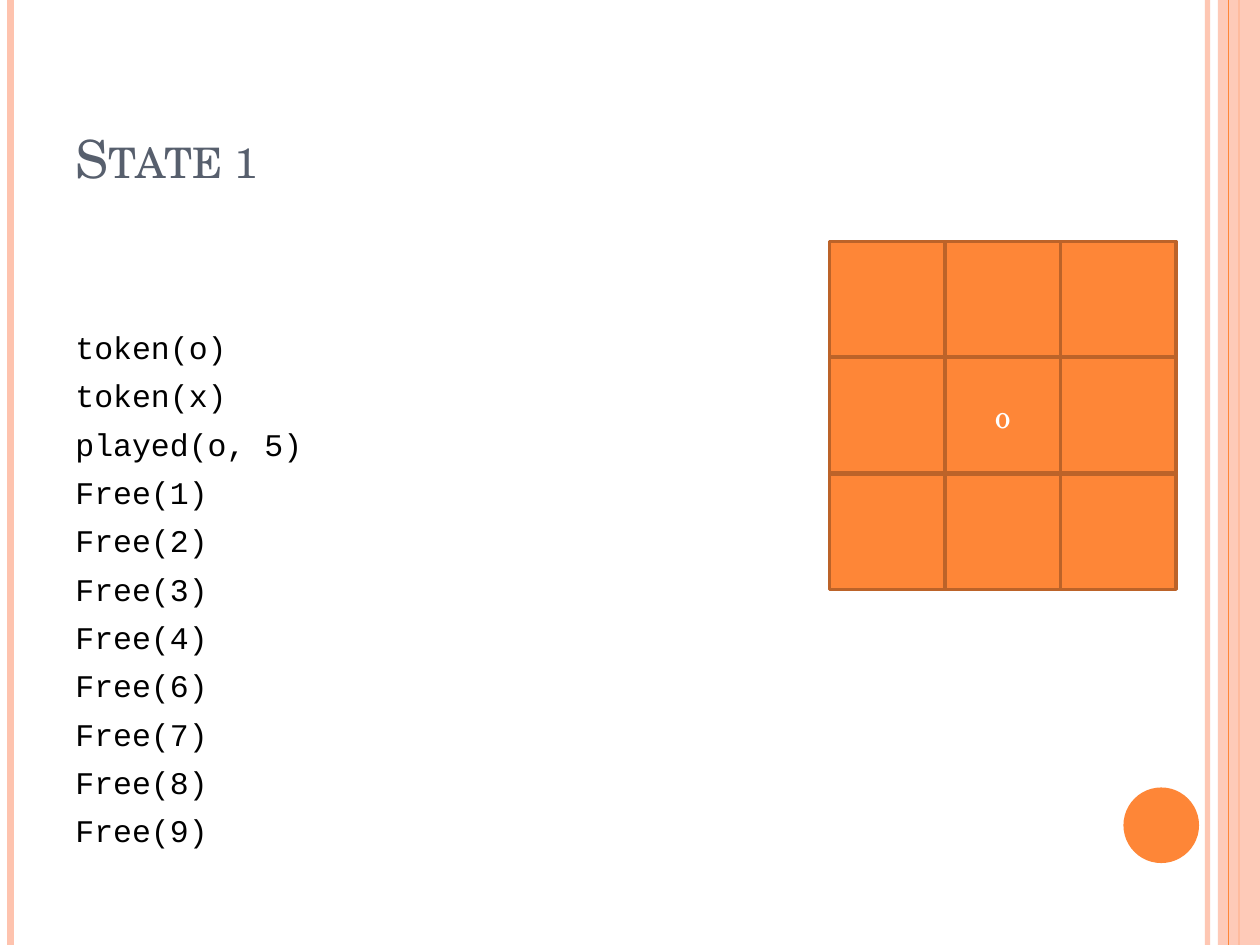
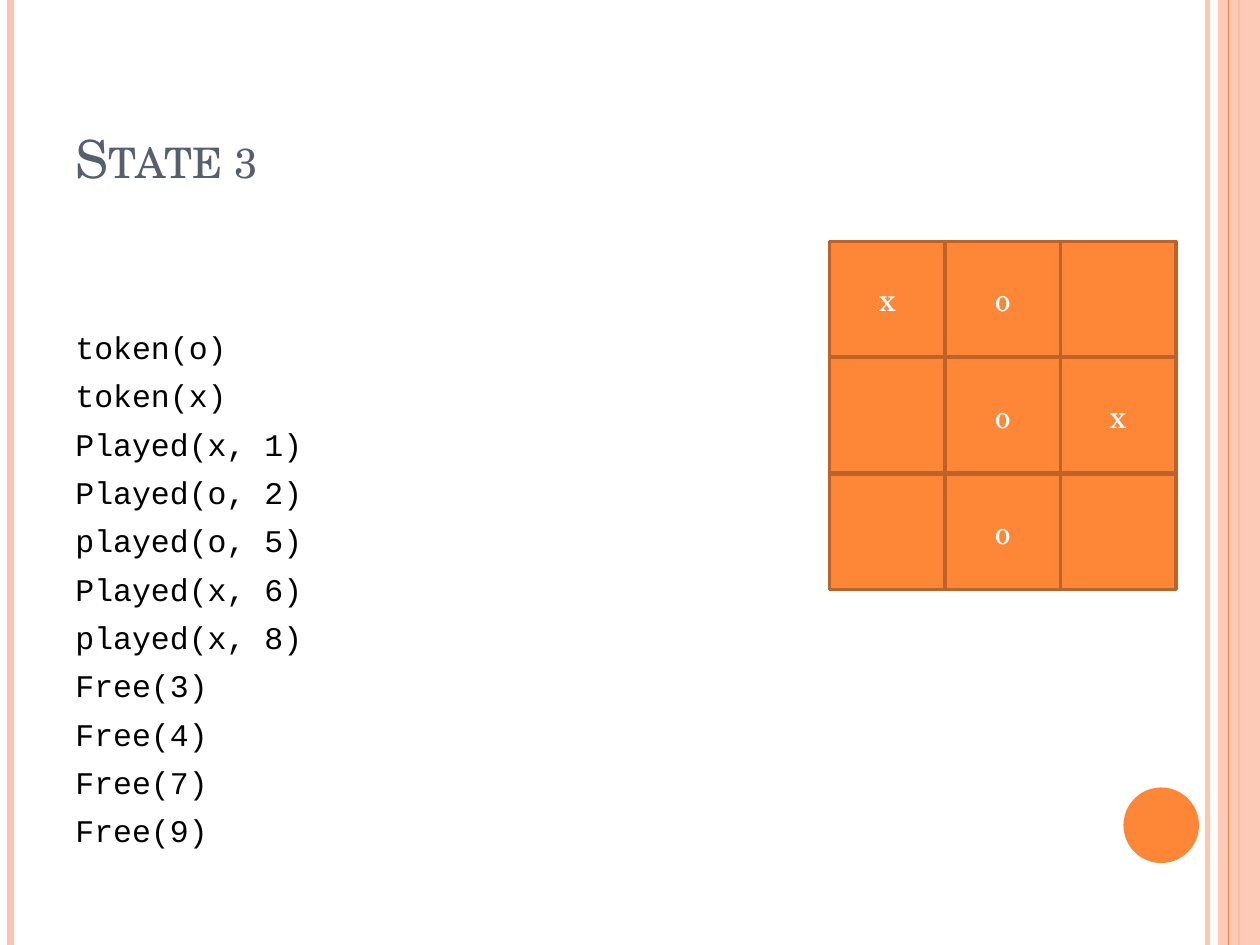
import pptx
import pptx.dml.color
import pptx.enum.shapes
import pptx.enum.text
import pptx.oxml.ns
import pptx.util
from lxml import etree

COLORS = {"accent": "FE8637", "pale": "FEC3AE", "edge": "BC6329",
          "title": "575F6D", "body": "000000", "white": "FFFFFF"}
SERIF, MONO = "TeX Gyre Schola", "Courier New"
SHAPE = pptx.enum.shapes.MSO_SHAPE
ALIGN = pptx.enum.text.PP_ALIGN
ANCHOR = pptx.enum.text.MSO_ANCHOR

# The slide is a grid of 120 columns by 90 rows of square units.
COLS, ROWS = 120, 90
UNIT = pptx.util.Inches(10) // COLS
TITLE_BOX = (6, 3.6, 98, 15)
FACTS_BOX = (6, 21, 71, 64)
BOARD_BOX = (79, 23, 33, 33.2)

STATES = [
    ("State 1",
     ["token(o)", "token(x)", "played(o, 5)", "Free(1)", "Free(2)", "Free(3)",
      "Free(4)", "Free(6)", "Free(7)", "Free(8)", "Free(9)"],
     ["   ", " o ", "   "]),
    ("State 3",
     ["token(o)", "token(x)", "Played(x, 1)", "Played(o, 2)", "played(o, 5)",
      "Played(x, 6)", "played(x, 8)", "Free(3)", "Free(4)", "Free(7)", "Free(9)"],
     ["xo ", " ox", " o "]),
]


def units(*values):
    return [pptx.util.Emu(round(v * UNIT)) for v in values]


def rgb(name):
    return pptx.dml.color.RGBColor.from_string(COLORS[name])


def set_alpha(fill_parent, percent):
    """Make the solid colour inside an XML element partly transparent."""
    color = next(fill_parent.iter(pptx.oxml.ns.qn("a:srgbClr")))
    etree.SubElement(color, pptx.oxml.ns.qn("a:alpha")).set("val", str(percent * 1000))


def write(tf, lines, font=SERIF, size=18, color="body", align=ALIGN.LEFT,
          anchor=ANCHOR.TOP, small_caps=False, before=0, spacing=None):
    """Fill a text frame with one paragraph for each line."""
    tf.word_wrap = True
    tf.vertical_anchor = anchor
    for i, line in enumerate(lines):
        p = tf.add_paragraph() if i else tf.paragraphs[0]
        p.alignment = align
        p.space_before = pptx.util.Pt(before if i else 0)
        if spacing:
            p.line_spacing = pptx.util.Pt(spacing)
        r = p.add_run()
        r.text = line
        r.font.name = font
        r.font.size = pptx.util.Pt(size)
        r.font.color.rgb = rgb(color)
        if small_caps:
            r._r.get_or_add_rPr().set("cap", "small")


def add_block(shapes, kind, box, fill, edge=None):
    sp = shapes.add_shape(kind, *units(*box))
    sp.shadow.inherit = False
    sp.fill.solid()
    sp.fill.fore_color.rgb = rgb(fill)
    if edge:
        sp.line.color.rgb = rgb(edge)
        sp.line.width = pptx.util.Pt(2)
    else:
        sp.line.fill.background()
    return sp


def add_stripe(s, col, color, width):
    """Draw a line down the full height of the slide."""
    cx = s.shapes.add_connector(pptx.enum.shapes.MSO_CONNECTOR.STRAIGHT,
                                *units(col, 0, col, ROWS))
    cx.line.color.rgb = rgb(color)
    cx.line.width = pptx.util.Pt(width)
    etree.SubElement(cx._element.spPr, pptx.oxml.ns.qn("a:effectLst"))
    return cx


def add_frame(s):
    """Add the stripes, side band and disc that every slide shares."""
    set_alpha(add_stripe(s, 115, "pale", 3)._element, 93)
    add_stripe(s, 1, "pale", 4.5)
    add_stripe(s, 118, "accent", 1.5)
    band = add_block(s.shapes, SHAPE.RECTANGLE, (116, 0, COLS - 116, ROWS), "pale")
    set_alpha(band._element, 87)
    add_stripe(s, 117, "accent", 0.75)
    add_block(s.shapes, SHAPE.OVAL, (107, 75, 7.2, 7.2), "accent")


def add_title(s, box, title):
    tf = s.shapes.add_textbox(*units(*box)).text_frame
    write(tf, [title], size=30, color="title", anchor=ANCHOR.BOTTOM, small_caps=True)


def add_facts(s, box, facts):
    tf = s.shapes.add_textbox(*units(*box)).text_frame
    tf.margin_top = units(box[3] * 0.16)[0]
    write(tf, facts, font=MONO, before=6, spacing=21.6)


def add_board(s, box, marks):
    """Draw the 3 by 3 board as one group, with the marks row by row."""
    left, top, width, height = box
    cell = width / 3
    group = s.shapes.add_group_shape()
    for row, line in enumerate(marks):
        for col, mark in enumerate(line):
            place = (left + col * cell, top + row * height / 3, cell, cell)
            sp = add_block(group.shapes, SHAPE.RECTANGLE, place, "accent", "edge")
            if mark.strip():
                write(sp.text_frame, [mark], color="white", align=ALIGN.CENTER,
                      anchor=ANCHOR.MIDDLE)


def add_state_slide(prs, title, facts, marks):
    s = prs.slides.add_slide(prs.slide_layouts[6])
    add_frame(s)
    add_title(s, TITLE_BOX, title)
    add_facts(s, FACTS_BOX, facts)
    add_board(s, BOARD_BOX, marks)


def main():
    prs = pptx.Presentation()
    prs.slide_width, prs.slide_height = units(COLS, ROWS)
    for state in STATES:
        add_state_slide(prs, *state)
    prs.save("out.pptx")


if __name__ == "__main__":
    main()
